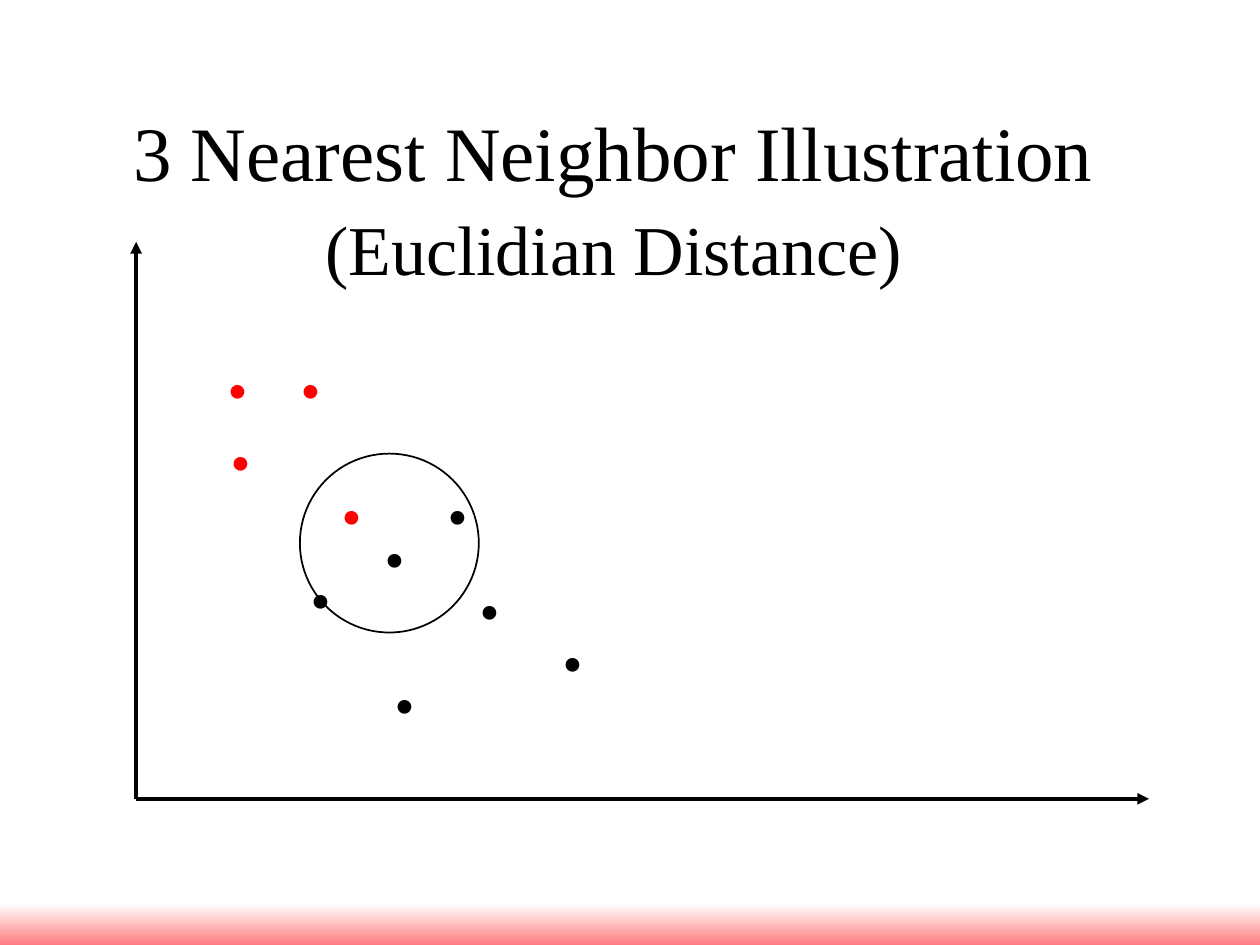
from lxml import etree
from pptx import Presentation
from pptx.dml.color import RGBColor
from pptx.enum.shapes import MSO_CONNECTOR, MSO_SHAPE
from pptx.enum.text import MSO_ANCHOR, PP_ALIGN
from pptx.oxml.ns import qn
from pptx.util import Inches, Pt

BLACK = RGBColor(0x00, 0x00, 0x00)
RED = RGBColor(0xFF, 0x00, 0x00)
WHITE = RGBColor(0xFF, 0xFF, 0xFF)
PINK = RGBColor(0xFF, 0x7C, 0x80)
STRAIGHT = MSO_CONNECTOR.STRAIGHT
RECTANGLE = MSO_SHAPE.RECTANGLE
OVAL = MSO_SHAPE.OVAL
CENTER = PP_ALIGN.CENTER
TOP = MSO_ANCHOR.TOP
FONT = "Times New Roman"
LINE_SPACING = 1.1

PLOT_BOX = (1.08, 1.92, 8.04, 4.42)
DOT_SIZE = (0.43, 1.2)
RED_DOTS = [(0.62, 0.73), (0.59, 0.16), (1.5, 1.16), (1.17, 0.16)]
BLACK_DOTS = [(1.25, 1.83), (2.59, 1.91), (1.92, 2.66), (3.25, 2.33), (2.34, 1.16)]
QUERY_DOT = (1.84, 1.5)
NEIGHBORHOOD = (1.3, 1.68, 1.42)


def add_text(slide, box, runs, color, wrap):
    """Add centred text, with one line for each (text, size) pair."""
    shape = slide.shapes.add_textbox(*map(Inches, box))
    frame = shape.text_frame
    frame.word_wrap = wrap
    frame.vertical_anchor = TOP
    paragraph = frame.paragraphs[0]
    paragraph.alignment = CENTER
    paragraph.line_spacing = LINE_SPACING
    for index, (text, size) in enumerate(runs):
        if index:
            paragraph.add_line_break()
        run = paragraph.add_run()
        run.text = text
        run.font.color.rgb = color
        for name, value in {"name": FONT, "size": Pt(size)}.items():
            setattr(run.font, name, value)


def add_footer_band(slide, box):
    """Add the band that fades from white to pink."""
    shape = slide.shapes.add_shape(RECTANGLE, *map(Inches, box))
    shape.shadow.inherit = False
    shape.line.fill.background()
    shape.fill.gradient()
    shape.fill.gradient_angle = 270
    for stop, color, position in zip(shape.fill.gradient_stops, (WHITE, PINK), (0, 1)):
        stop.color.rgb = color
        stop.position = position


def add_axis(slide, start, end):
    """Add an axis with an arrowhead at its end."""
    connector = slide.shapes.add_connector(STRAIGHT, *map(Inches, start + end))
    connector.line.color.rgb = BLACK
    connector.line.width = Pt(2.25)
    line = connector.line._get_or_add_ln()
    etree.SubElement(line, qn("a:tailEnd"), type="triangle")
    etree.SubElement(connector._element.spPr, qn("a:effectLst"))


def add_neighborhood(slide, left, top, diameter):
    """Add the circle around the nearest neighbors."""
    shape = slide.shapes.add_shape(OVAL, *map(Inches, (left, top, diameter, diameter)))
    shape.shadow.inherit = False
    shape.fill.background()
    shape.line.color.rgb = BLACK
    shape.line.width = Pt(1)


def add_plot(slide, box):
    """Add the axes, the dots and the neighborhood circle."""
    left, top, width, height = box
    origin = (left, top + height)
    add_axis(slide, origin, (left, top))
    add_axis(slide, origin, (left + width, top + height))

    def add_dots(offsets, color):
        """Add a dot at each offset from the corner of the plot."""
        for x, y in offsets:
            add_text(slide, (left + x, top + y, *DOT_SIZE), [(".", 66)], color, False)

    add_dots(RED_DOTS, RED)
    add_dots(BLACK_DOTS, BLACK)
    x, y, diameter = NEIGHBORHOOD
    add_neighborhood(slide, left + x, top + y, diameter)
    add_dots([QUERY_DOT], BLACK)


def main():
    """Build and save the presentation."""
    presentation = Presentation()
    presentation.slide_width = Inches(10)
    presentation.slide_height = Inches(7.5)
    slide = presentation.slides.add_slide(presentation.slide_layouts[6])
    add_footer_band(slide, (0, 7.17, 10, 0.33))
    title = [("3 Nearest Neighbor Illustration", 44), ("(Euclidian Distance)", 40)]
    add_text(slide, (0.37, 0.71, 9, 1.25), title, BLACK, True)
    add_plot(slide, PLOT_BOX)
    presentation.save("out.pptx")


if __name__ == "__main__":
    main()
